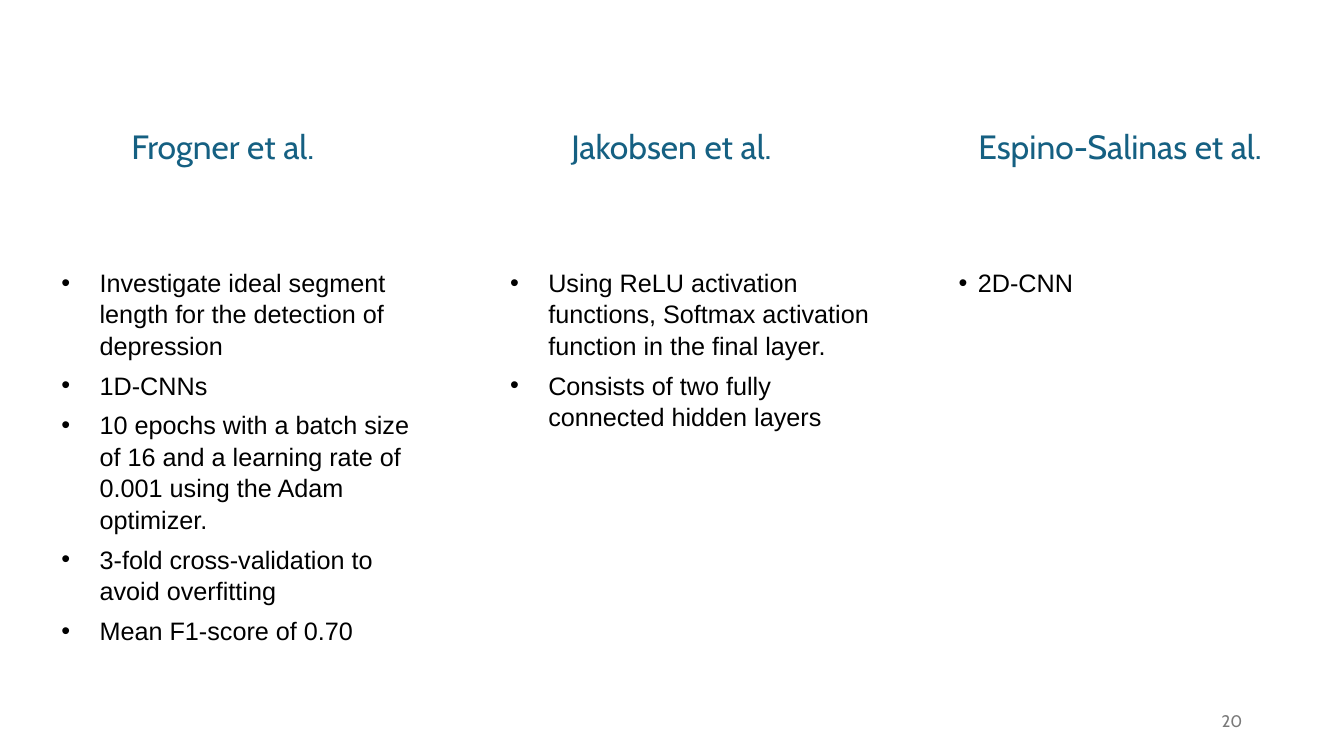
from dataclasses import dataclass

from lxml import etree
from pptx import Presentation
from pptx import util as u
from pptx.dml.color import RGBColor
from pptx.enum import shapes, text
from pptx.oxml import ns


@dataclass(frozen=True)
class Theme:
    paper: str = "FFFFFF"
    title: str = "156082"
    ink: str = "000000"
    muted: str = "797979"
    head: str = "Cabin"
    body: str = "Arial"
    big: int = 24
    mid: int = 18
    small: int = 12


T = Theme()

# Column grid, in inches
LEFT, STEP = 0.51, 4.45
HEAD_TOP, HEAD_W, HEAD_H = 0.86, 3.4, 1.17
LIST_TOP = 2.59

# Heading, list width, list height, indent, points
STUDIES = [
    ("Frogner et al.", 3.91, 4.56, 0.38, [
        "Investigate ideal segment length for the detection of depression",
        "1D-CNNs",
        "10 epochs with a batch size of 16 and a learning rate of 0.001 "
        "using the Adam optimizer.",
        "3-fold cross-validation to avoid overfitting",
        "Mean F1-score of 0.70",
    ]),
    ("Jakobsen et al.", 3.92, 4.59, 0.38, [
        "Using ReLU activation functions, Softmax activation function "
        "in the final layer.",
        "Consists of two fully connected hidden layers",
    ]),
    ("Espino-Salinas et al.", 3.72, 1.16, 0.19, ["2D-CNN"]),
]


def style(para, face, size, color, align):
    para.alignment = align
    font = para.font
    font.name, font.size = face, u.Pt(size)
    font.color.rgb = RGBColor.from_string(color)


def panel(slide, x, y, w, h, anchor):
    box = slide.shapes.add_shape(shapes.MSO_SHAPE.RECTANGLE,
                                 *map(u.Inches, (x, y, w, h)))
    box.shadow.inherit = False
    box.fill.solid()
    box.fill.fore_color.rgb = RGBColor.from_string(T.paper)
    box.line.fill.background()
    frame = box.text_frame
    frame.word_wrap = True
    frame.vertical_anchor = anchor
    return frame


def heading(slide, x, words):
    frame = panel(slide, x, HEAD_TOP, HEAD_W, HEAD_H, text.MSO_ANCHOR.MIDDLE)
    para = frame.paragraphs[0]
    para.text = words
    para.space_after = u.Pt(6)
    style(para, T.head, T.big, T.title, text.PP_ALIGN.CENTER)


def bullet(para, indent):
    props = para._p.get_or_add_pPr()
    props.set("marL", str(u.Inches(indent)))
    props.set("indent", str(-u.Inches(indent)))
    etree.SubElement(props, ns.qn("a:buFont"), typeface=T.body)
    etree.SubElement(props, ns.qn("a:buChar"), char="•")


def points(slide, x, w, h, indent, items):
    frame = panel(slide, x, LIST_TOP, w, h, text.MSO_ANCHOR.TOP)
    for i, item in enumerate(items):
        para = frame.add_paragraph() if i else frame.paragraphs[0]
        para.text = item
        bullet(para, indent)
        para.line_spacing = 1.04
        para.space_after = u.Pt(6)
        style(para, T.body, T.mid, T.ink, text.PP_ALIGN.LEFT)


def number(slide, words):
    box = slide.shapes.add_textbox(*map(u.Inches, (9.42, 6.95, 3, 0.4)))
    frame = box.text_frame
    frame.word_wrap = True
    frame.vertical_anchor = text.MSO_ANCHOR.MIDDLE
    para = frame.paragraphs[0]
    para.text = words
    style(para, T.head, T.small, T.muted, text.PP_ALIGN.RIGHT)


def main():
    deck = Presentation()
    deck.slide_width, deck.slide_height = u.Inches(13.33), u.Inches(7.5)
    slide = deck.slides.add_slide(deck.slide_layouts[6])

    # One column per study
    for col, (name, w, h, indent, items) in enumerate(STUDIES):
        x = LEFT + col * STEP
        heading(slide, x, name)
        points(slide, x, w, h, indent, items)

    # Page number
    number(slide, "20")
    deck.save("out.pptx")


if __name__ == "__main__":
    main()
